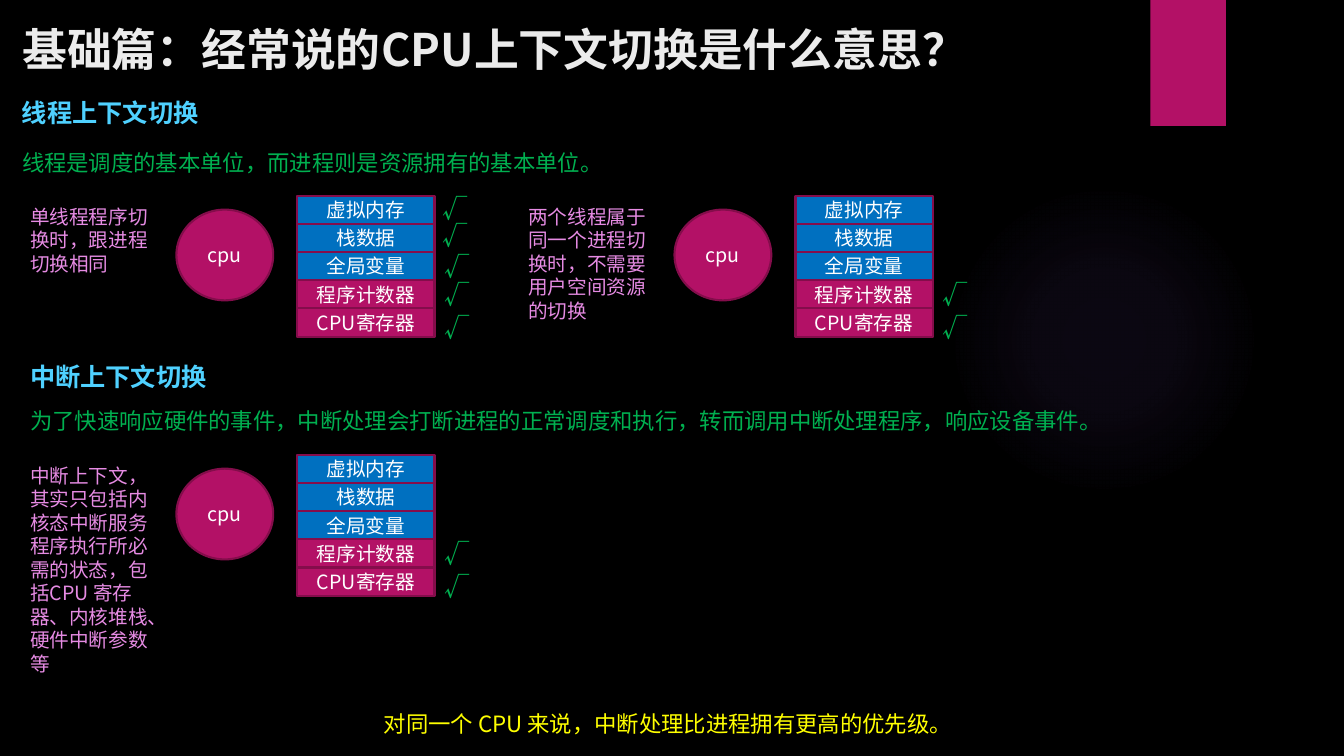
"""Build the slide on thread and interrupt context switching."""
import pptx
import pptx.util
import pptx.dml.color
import pptx.enum.shapes
import pptx.enum.text
import pptx.oxml

SLIDE_SIZE = (13.33, 7.5)
TITLE = ("基础篇：经常说的CPU上下文切换是什么意思？", (0.12, 0.17, 12.4, 0.66))
STATEMENTS = [
    ("线程上下文切换", "heading", (0.12, 0.92, 2.2, 0.4)),
    ("线程是调度的基本单位，而进程则是资源拥有的基本单位。", "claim", (0.12, 1.43, 8.09, 0.37)),
    ("中断上下文切换", "heading", (0.2, 3.54, 2.2, 0.4)),
    ("为了快速响应硬件的事件，中断处理会打断进程的正常调度和执行，转而调用中断处理程序，响应设备事件。",
     "claim", (0.2, 3.99, 11.58, 0.37)),
    ("对同一个 CPU 来说，中断处理比进程拥有更高的优先级。", "conclusion", (2.58, 7, 8.09, 0.37)),
]
USER_SPACE = ["虚拟内存", "栈数据", "全局变量"]
KERNEL_SPACE = ["程序计数器", "CPU寄存器"]
RESOURCES = USER_SPACE + KERNEL_SPACE
CASES = [
    {"note": "单线程程序切换时，跟进程切换相同", "note_height": 0.81,
     "switched": RESOURCES, "origin": (0.2, 1.94)},
    {"note": "两个线程属于同一个进程切换时，不需要用户空间资源的切换", "note_height": 1.28,
     "switched": KERNEL_SPACE, "origin": (5.14, 1.94)},
    {"note": "中断上下文，其实只包括内核态中断服务程序执行所必需的状态，包括CPU 寄存器、内核堆栈、硬件中断参数等",
     "note_height": 2.22, "switched": KERNEL_SPACE, "origin": (0.2, 4.51)},
]
COLUMNS = {"note": 0, "cpu": 1.55, "stack": 2.75}
ROW_HEIGHT, STACK_WIDTH = 0.28, 1.36
TICK_OFFSETS = [(4.09, -0.07), (4.09, 0.2), (4.11, 0.5), (4.11, 0.78), (4.11, 1.11)]
RIBBON = (11.41, 0, 0.75, 1.25)
GLOW = (9.41, 1.83, 3.08, 3.08)

THEME = {
    "font": "Noto Sans CJK SC",
    "background": "000000",
    "accent": "B31166",
    "outline": "840D4B",
    "user_space": "0070C0",
    "glow": "9B6BF2",
    "glow_stops": [(0, 7), (36, 6), (69, 0)],
    "text": {
        "title": {"size": 32, "color": "EBEBEB", "bold": True},
        "heading": {"size": 18, "color": "4FD1FF", "bold": True},
        "claim": {"size": 16, "color": "00B050"},
        "conclusion": {"size": 16, "color": "FFFF00", "align": "CENTER"},
        "note": {"size": 14, "color": "E68BE3"},
        "tick": {"size": 18, "color": "00B050"},
        "label": {"size": 14, "color": "FFFFFF", "align": "CENTER", "anchor": "MIDDLE"},
    },
}


def rgb(code):
    return pptx.dml.color.RGBColor.from_string(code)


def inches(box):
    return [pptx.util.Inches(length) for length in box]


def write(holder, text, role):
    style = THEME["text"][role]
    frame = holder.text_frame
    frame.text = text
    frame_format = {
        "word_wrap": True,
        "auto_size": pptx.enum.text.MSO_AUTO_SIZE.NONE,
        "vertical_anchor": pptx.enum.text.MSO_ANCHOR[style.get("anchor", "TOP")],
    }
    for name, value in frame_format.items():
        setattr(frame, name, value)
    paragraph = frame.paragraphs[0]
    paragraph.alignment = pptx.enum.text.PP_ALIGN[style.get("align", "LEFT")]
    font = paragraph.runs[0].font
    font_format = {"name": THEME["font"], "size": pptx.util.Pt(style["size"]),
                   "bold": style.get("bold", False)}
    for name, value in font_format.items():
        setattr(font, name, value)
    font.color.rgb = rgb(style["color"])
    east_asian = pptx.oxml.parse_xml(
        '<a:ea xmlns:a="http://schemas.openxmlformats.org/drawingml/2006/main" '
        f'typeface="{THEME["font"]}"/>')
    paragraph.runs[0]._r.get_or_add_rPr().append(east_asian)


def add_text(slide, text, role, box):
    write(slide.shapes.add_textbox(*inches(box)), text, role)


def add_block(slide, kind, box, fill, label=None):
    block = slide.shapes.add_shape(pptx.enum.shapes.MSO_SHAPE[kind], *inches(box))
    block.shadow.inherit = False
    block.fill.solid()
    block.fill.fore_color.rgb = rgb(fill)
    if label:
        block.line.color.rgb = rgb(THEME["outline"])
        block.line.width = pptx.util.Pt(1.5)
        write(block, label, "label")
    else:
        block.line.fill.background()
    return block


def add_glow(slide):
    glow = add_block(slide, "OVAL", GLOW, THEME["glow"])
    stops = "".join(
        f'<a:gs pos="{position * 1000}"><a:srgbClr val="{THEME["glow"]}">'
        f'<a:alpha val="{opacity * 1000}"/></a:srgbClr></a:gs>'
        for position, opacity in THEME["glow_stops"])
    gradient = pptx.oxml.parse_xml(
        '<a:gradFill xmlns:a="http://schemas.openxmlformats.org/drawingml/2006/main">'
        f'<a:gsLst>{stops}</a:gsLst><a:path path="circle">'
        '<a:fillToRect l="50000" t="50000" r="50000" b="50000"/></a:path></a:gradFill>')
    properties = glow._element.spPr
    solid = properties.find(pptx.oxml.ns.qn("a:solidFill"))
    properties.replace(solid, gradient)


def add_case(slide, case):
    left, top = case["origin"]
    note_left, cpu_left, stack_left = (left + offset for offset in COLUMNS.values())
    add_block(slide, "OVAL", (cpu_left, top + 0.14, 0.96, 0.9), THEME["accent"], "cpu")
    for row, resource in reversed(list(enumerate(RESOURCES))):
        fill = THEME["user_space"] if resource in USER_SPACE else THEME["accent"]
        row_box = (stack_left, top + row * ROW_HEIGHT, STACK_WIDTH, ROW_HEIGHT)
        add_block(slide, "RECTANGLE", row_box, fill, resource)
    add_text(slide, case["note"], "note", (note_left, top + 0.04, 1.39, case["note_height"]))
    for resource, (across, down) in zip(RESOURCES, TICK_OFFSETS):
        if resource in case["switched"]:
            add_text(slide, "√", "tick", (left + across, top + down, 0.41, 0.4))


def main():
    deck = pptx.Presentation()
    deck.slide_width, deck.slide_height = inches(SLIDE_SIZE)
    slide = deck.slides.add_slide(deck.slide_layouts.get_by_name("Title Only"))
    slide.background.fill.solid()
    slide.background.fill.fore_color.rgb = rgb(THEME["background"])
    add_glow(slide)
    add_block(slide, "RECTANGLE", RIBBON, THEME["accent"])
    title_text, title_box = TITLE
    title = slide.shapes.title
    for side, length in zip(("left", "top", "width", "height"), inches(title_box)):
        setattr(title, side, length)
    write(title, title_text, "title")
    for statement in STATEMENTS:
        add_text(slide, *statement)
    for case in CASES:
        add_case(slide, case)
    deck.save("out.pptx")


if __name__ == "__main__":
    main()
